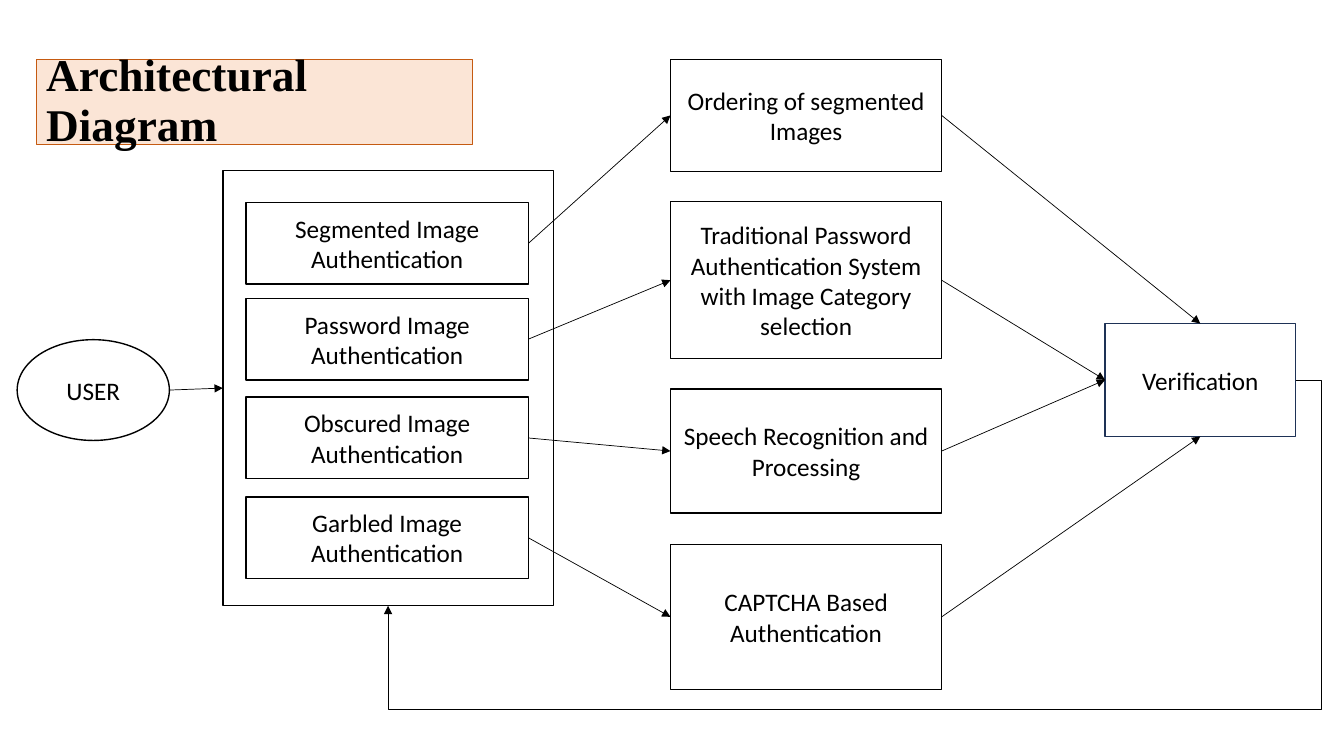
"""Build the architectural diagram slide of an image authentication system."""
from dataclasses import dataclass

from lxml import etree
from pptx import Presentation
from pptx.dml.color import RGBColor
from pptx.enum.shapes import MSO_CONNECTOR, MSO_SHAPE
from pptx.enum.text import MSO_ANCHOR, PP_ALIGN
from pptx.oxml.ns import qn
from pptx.shapes.autoshape import Shape
from pptx.shapes.connector import Connector
from pptx.shapes.shapetree import SlideShapes
from pptx.util import Pt

EMU_PER_PX = 9144
RECT, ELLIPSE = MSO_SHAPE.RECTANGLE, MSO_SHAPE.OVAL
STRAIGHT, ELBOW = MSO_CONNECTOR.STRAIGHT, MSO_CONNECTOR.ELBOW
LEFT, CENTER, MIDDLE = PP_ALIGN.LEFT, PP_ALIGN.CENTER, MSO_ANCHOR.MIDDLE
TOP_SITE, LEFT_SITE, BOTTOM_SITE, RIGHT_SITE = range(4)
BLACK = "000000"


@dataclass(frozen=True)
class Box:
    """An outlined shape with its label; lengths are in px."""
    label: str
    left: int
    top: int
    width: int
    height: int
    geometry: MSO_SHAPE = RECT
    fill: str = ""
    outline: str = BLACK
    outline_pt: float = 1
    font: str = "Calibri"
    size_pt: float = 18
    bold: bool = False
    align: PP_ALIGN = CENTER
    line_spacing: float = 1.0


@dataclass(frozen=True)
class Stage:
    """One authentication method and the process that handles it."""
    method: str
    method_top: int
    process: str
    process_top: int
    process_height: int
    verification_site: int


TITLE = Box("Architectural Diagram", 36, 59, 433, 84, fill="FBE5D6", outline="C55A11",
            outline_pt=0.75, font="Times New Roman", size_pt=32.4, bold=True,
            align=LEFT, line_spacing=0.9)
USER = Box("USER", 17, 337, 151, 100, geometry=ELLIPSE)
METHODS_FRAME = Box("", 221, 169, 328, 432)
VERIFICATION = Box("Verification", 1096, 321, 189, 112, outline="1E3256")
STAGES = (
    Stage("Segmented Image Authentication", 201,
          "Ordering of segmented Images", 59, 111, TOP_SITE),
    Stage("Password Image Authentication", 296,
          "Traditional Password Authentication System with Image Category selection",
          200, 156, LEFT_SITE),
    Stage("Obscured Image Authentication", 394,
          "Speech Recognition and Processing", 386, 123, LEFT_SITE),
    Stage("Garbled Image Authentication", 493,
          "CAPTCHA Based Authentication", 540, 144, BOTTOM_SITE),
)


def px(length: int) -> int:
    """Turn px into EMU."""
    return length * EMU_PER_PX


def color(hex_code: str) -> RGBColor:
    """Turn a hex string into a colour."""
    return RGBColor.from_string(hex_code)


def draw_box(shapes: SlideShapes, box: Box) -> Shape:
    """Draw a box and its label."""
    shape = shapes.add_shape(box.geometry, px(box.left), px(box.top),
                             px(box.width), px(box.height))
    shape.shadow.inherit = False
    if box.fill:
        shape.fill.solid()
        shape.fill.fore_color.rgb = color(box.fill)
    else:
        shape.fill.background()
    shape.line.color.rgb = color(box.outline)
    shape.line.width = Pt(box.outline_pt)
    if box.label:
        frame = shape.text_frame
        frame.word_wrap = True
        frame.vertical_anchor = MIDDLE
        paragraph = frame.paragraphs[0]
        paragraph.alignment = box.align
        paragraph.line_spacing = box.line_spacing
        run = paragraph.add_run()
        run.text = box.label
        run.font.name = box.font
        run.font.size = Pt(box.size_pt)
        run.font.bold = box.bold
        run.font.color.rgb = color(BLACK)
    return shape


def draw_arrow(shapes: SlideShapes, source: Shape, target: Shape, target_site: int,
               route: MSO_CONNECTOR = STRAIGHT) -> Connector:
    """Draw an arrow from the right side of source to a site of target."""
    right, middle = source.left + source.width, source.top + source.height // 2
    arrow = shapes.add_connector(route, right, middle, right, middle)
    if source.auto_shape_type == RECT:
        arrow.begin_connect(source, RIGHT_SITE)
    arrow.end_connect(target, target_site)
    arrow.line.color.rgb = color(BLACK)
    arrow.line.width = Pt(0.5)
    etree.SubElement(arrow.line._get_or_add_ln(), qn("a:tailEnd"), type="triangle")
    etree.SubElement(arrow.element.spPr, qn("a:effectLst"))
    return arrow


def bend_around(arrow: Connector, *adjustments: int) -> None:
    """Give an elbow arrow three bends, placed in thousandths of a percent."""
    geometry = arrow.element.spPr.find(qn("a:prstGeom"))
    geometry.set("prst", "bentConnector4")
    guides = geometry.find(qn("a:avLst"))
    for number, value in enumerate(adjustments, start=1):
        etree.SubElement(guides, qn("a:gd"), name=f"adj{number}", fmla=f"val {value}")


def main() -> None:
    """Build and save the slide."""
    deck = Presentation()
    deck.slide_width, deck.slide_height = px(1333), px(750)
    shapes = deck.slides.add_slide(deck.slide_layouts[6]).shapes

    draw_box(shapes, TITLE)
    user = draw_box(shapes, USER)
    methods_frame = draw_box(shapes, METHODS_FRAME)
    verification = draw_box(shapes, VERIFICATION)
    draw_arrow(shapes, user, methods_frame, LEFT_SITE)
    for stage in STAGES:
        method = draw_box(shapes, Box(stage.method, 244, stage.method_top, 280, 81))
        process = draw_box(shapes, Box(stage.process, 665, stage.process_top,
                                       269, stage.process_height))
        draw_arrow(shapes, method, process, LEFT_SITE)
        draw_arrow(shapes, process, verification, stage.verification_site)
    retry = draw_arrow(shapes, verification, methods_frame, BOTTOM_SITE, ELBOW)
    bend_around(retry, -2800, 145800)

    deck.save("out.pptx")


if __name__ == "__main__":
    main()
